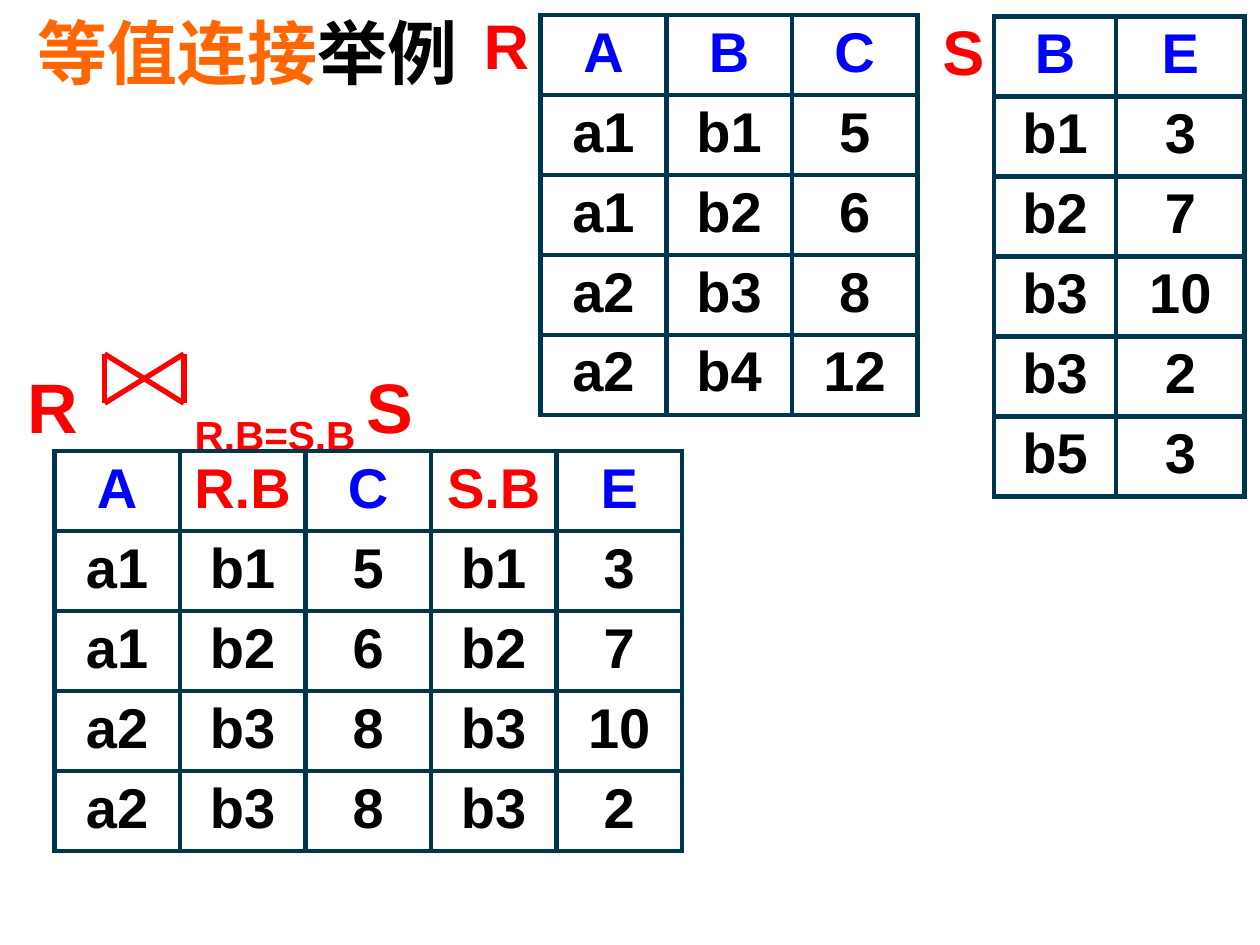
from lxml import etree
from pptx import Presentation
from pptx import util as u
from pptx.dml.color import RGBColor
from pptx.enum import shapes, text
from pptx.oxml import ns

RED = RGBColor(0xFF, 0x00, 0x00)
BLUE = RGBColor(0x00, 0x00, 0xFF)
BLACK = RGBColor(0x00, 0x00, 0x00)
WHITE = RGBColor(0xFF, 0xFF, 0xFF)
ORANGE = RGBColor(0xFF, 0x66, 0x00)
NAVY = "00354E"


def write(para, words, size=40, color=BLACK, face="Arial", base=0):
    run = para.add_run()
    run.text = words
    font = run.font
    font.name, font.size, font.bold = face, u.Pt(size), True
    font.color.rgb = color
    props = run._r.get_or_add_rPr()
    etree.SubElement(props, ns.qn("a:ea"), typeface="Noto Sans CJK SC")
    if base:
        props.set("baseline", str(base * 1000))


class Deck:
    line = 3
    row = 45.7
    size = 32

    def __init__(self, wide, high):
        self.show = Presentation()
        self.show.slide_width = u.Pt(wide)
        self.show.slide_height = u.Pt(high)
        self.slide = self.show.slides.add_slide(self.show.slide_layouts[6])

    def text(self, left, top, wide, high, runs, wrap=True, inset=3.6,
             anchor=text.MSO_ANCHOR.TOP, tab=None):
        box = self.slide.shapes.add_textbox(*map(u.Pt, (left, top, wide, high)))
        frame = box.text_frame
        frame.word_wrap = wrap
        frame.vertical_anchor = anchor
        frame.margin_top = u.Pt(inset)
        para = frame.paragraphs[0]
        if tab:
            stops = etree.SubElement(para._p.get_or_add_pPr(), ns.qn("a:tabLst"))
            etree.SubElement(stops, ns.qn("a:tab"), pos=str(u.Pt(tab)), algn="l")
        for words, form in runs:
            write(para, words, **form)

    def join(self, left, top, right, low):
        group = self.slide.shapes.add_group_shape()
        for ends in ((left, top, left, low), (right, top, right, low),
                     (left, top, right, low), (left, low, right, top)):
            line = group.shapes.add_connector(
                shapes.MSO_CONNECTOR.STRAIGHT, *map(u.Pt, ends))
            line.line.color.rgb = RED
            line.line.width = u.Pt(self.line)
            etree.SubElement(line._element.spPr, ns.qn("a:effectLst"))

    def edge(self, cell):
        props = cell._tc.get_or_add_tcPr()
        for side in ("lnL", "lnR", "lnT", "lnB"):
            line = etree.SubElement(props, ns.qn("a:" + side),
                                    w=str(u.Pt(self.line)))
            fill = etree.SubElement(line, ns.qn("a:solidFill"))
            etree.SubElement(fill, ns.qn("a:srgbClr"), val=NAVY)

    def table(self, left, top, cols, rows):
        rows = [row.split() for row in rows]
        grid = self.slide.shapes.add_table(
            len(rows), len(cols), u.Pt(left), u.Pt(top),
            u.Pt(sum(cols)), u.Pt(self.row * len(rows))).table
        grid.first_row = grid.horz_banding = False
        for col, wide in zip(grid.columns, cols):
            col.width = u.Pt(wide)
        for y, row in enumerate(rows):
            grid.rows[y].height = u.Pt(self.row)
            for x, words in enumerate(row):
                cell = grid.cell(y, x)
                self.edge(cell)
                cell.fill.solid()
                cell.fill.fore_color.rgb = WHITE
                para = cell.text_frame.paragraphs[0]
                para.alignment = text.PP_ALIGN.CENTER
                head = RED if "." in words else BLUE
                write(para, words, size=self.size, color=BLACK if y else head)


def main():
    deck = Deck(720, 540)
    deck.text(14.4, 9.4, 682, 39.6,
              [("等值连接", {"color": ORANGE}), ("举例", {})],
              anchor=text.MSO_ANCHOR.MIDDLE)
    deck.text(8.6, 173.5, 700, 85,
              [("R\t", {"color": RED}),
               ("R.B=S.B ", {"color": RED, "base": -25}),
               ("S", {"color": RED})], inset=34, tab=95.5)
    for name, left, top in (("R", 269.3, 0), ("S", 531.4, 3.6)):
        deck.text(left, top, 40.4, 50.4, [(name, {"size": 36, "color": RED})],
                  wrap=False)
    deck.join(59.8, 202.3, 105.1, 230.4)

    wide = 71.75
    deck.table(309, 8.6, [wide] * 3,
               ["A B C", "a1 b1 5", "a1 b2 6", "a2 b3 8", "a2 b4 12"])
    deck.table(568, 9.4, [69.8, 73.4],
               ["B E", "b1 3", "b2 7", "b3 10", "b3 2", "b5 3"])
    deck.table(31, 257.8, [wide] * 5,
               ["A R.B C S.B E", "a1 b1 5 b1 3", "a1 b2 6 b2 7",
                "a2 b3 8 b3 10", "a2 b3 8 b3 2"])
    deck.show.save("out.pptx")


if __name__ == "__main__":
    main()
